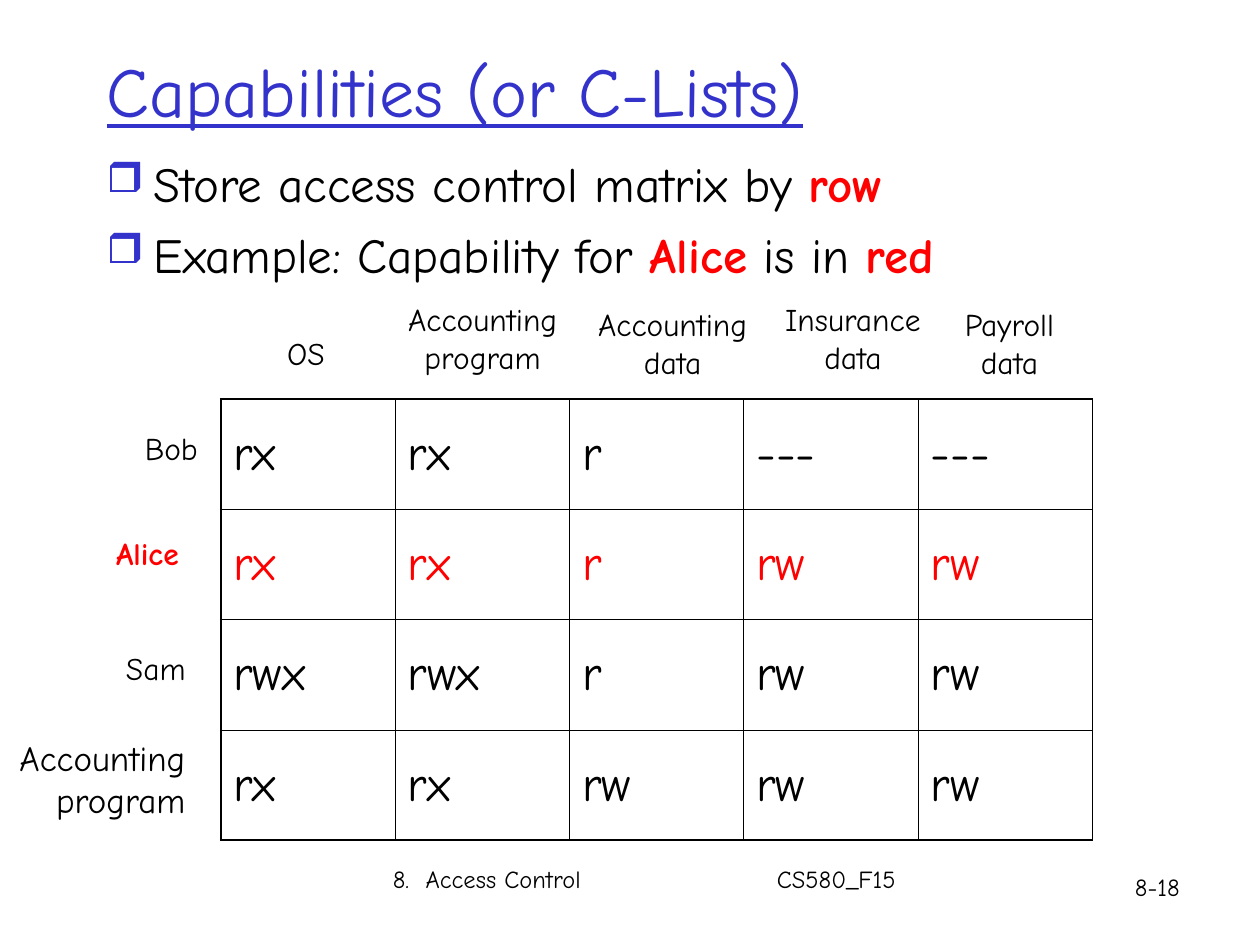
from lxml import etree
from pptx import Presentation
from pptx.dml.color import RGBColor
from pptx.enum.text import MSO_ANCHOR, MSO_AUTO_SIZE, PP_ALIGN
from pptx.oxml.ns import qn
from pptx.util import Cm, Pt

LEFT, CENTER, RIGHT = PP_ALIGN.LEFT, PP_ALIGN.CENTER, PP_ALIGN.RIGHT
MIDDLE = MSO_ANCHOR.MIDDLE
GROW = MSO_AUTO_SIZE.SHAPE_TO_FIT_TEXT


class Theme:
    face = "Comic Neue"
    ink = RGBColor(0, 0, 0)
    red = RGBColor(255, 0, 0)
    blue = RGBColor(0x33, 0x33, 0xCC)
    title, body, name, label, foot = 40, 28, 20, 18, 14
    thick, thin = Pt(1.08), Pt(0.45)


def style(font, size, color=Theme.ink, bold=False):
    font.name, font.size, font.bold = Theme.face, Pt(size), bold
    font.color.rgb = color


def add_text(box, lines, size, color=Theme.ink, bold=False, align=LEFT, wrap=False):
    frame = slide.shapes.add_textbox(*map(Cm, box)).text_frame
    frame.word_wrap = wrap
    if not wrap:
        frame.auto_size = GROW
    frame.text = lines
    for para in frame.paragraphs:
        para.alignment = align
        style(para.font, size, color, bold)
    return frame


deck = Presentation()
deck.slide_width, deck.slide_height = Cm(25.4), Cm(19.05)
slide = deck.slides.add_slide(deck.slide_layouts[6])

title = add_text((1.9, 0.43, 21.6, 2.74), "Capabilities (or C-Lists)",
                 Theme.title, Theme.blue, wrap=True)
title.vertical_anchor = MIDDLE
title.paragraphs[0].font.underline = True

points = [
    [("Store access control matrix by ", False), ("row", True)],
    [("Example: Capability for ", False), ("Alice", True),
     (" is in ", False), ("red", True)],
]
frame = slide.shapes.add_textbox(Cm(1.9), Cm(2.97), Cm(21.6), Cm(3.18)).text_frame
frame.word_wrap = True
for i, parts in enumerate(points):
    para = frame.add_paragraph() if i else frame.paragraphs[0]
    para.space_before = Pt(7 if i else 0)
    props = para._p.get_or_add_pPr()
    props.set("marL", str(Cm(0.95)))
    props.set("indent", str(-Cm(0.95)))
    tint = etree.SubElement(props, qn("a:buClr"))
    etree.SubElement(tint, qn("a:srgbClr"), val=str(Theme.blue))
    etree.SubElement(props, qn("a:buSzPct"), val="85000")
    etree.SubElement(props, qn("a:buChar"), char="❒")
    for text, key in parts:
        run = para.add_run()
        run.text = text
        style(run.font, Theme.body, Theme.red if key else Theme.ink, key)

rights = [
    ["rx", "rx", "r", "---", "---"],
    ["rx", "rx", "r", "rw", "rw"],
    ["rwx", "rwx", "r", "rw", "rw"],
    ["rx", "rx", "rw", "rw", "rw"],
]
rows, cols = len(rights), len(rights[0])
table = slide.shapes.add_table(rows, cols, Cm(4.45), Cm(8.05),
                               Cm(17.58), Cm(8.89)).table
table.first_row = table.horz_banding = False
for r, line in enumerate(rights):
    for c, text in enumerate(line):
        cell = table.cell(r, c)
        cell.text = text
        cell.vertical_anchor = MIDDLE
        cell.fill.background()
        style(cell.text_frame.paragraphs[0].font, Theme.body,
              Theme.red if r == 1 else Theme.ink)
        props = cell._tc.get_or_add_tcPr()
        edges = {"L": c == 0, "R": c == cols - 1, "T": r == 0, "B": r == rows - 1}
        for i, (side, outer) in enumerate(edges.items()):
            rule = etree.Element(qn("a:ln" + side),
                                 w=str(Theme.thick if outer else Theme.thin))
            fill = etree.SubElement(rule, qn("a:solidFill"))
            etree.SubElement(fill, qn("a:srgbClr"), val=str(Theme.ink))
            props.insert(i, rule)

heads = [
    ((5.54, 6.6, 1.35, 1.02), "OS", LEFT),
    ((7.88, 5.92, 3.7, 1.78), "Accounting\nprogram", CENTER),
    ((11.71, 6.02, 3.7, 1.78), "Accounting\ndata", CENTER),
    ((15.47, 5.92, 3.45, 1.78), "Insurance\ndata", CENTER),
    ((19.08, 6.02, 2.54, 1.78), "Payroll\ndata", CENTER),
]
for box, text, align in heads:
    add_text(box, text, Theme.label, align=align)

add_text((2.67, 8.53, 1.7, 1.02), "Bob", Theme.label)
add_text((2.09, 10.64, 1.9, 1.02), "Alice", Theme.label, Theme.red, True)
add_text((2.29, 12.95, 1.9, 1.02), "Sam", Theme.label)
add_text((0.03, 14.73, 3.96, 1.96), "Accounting\nprogram", Theme.name, align=RIGHT)

foot = add_text((7.67, 17.3, 15.21, 1.27), "", Theme.foot, wrap=True).paragraphs[0]
tabs = etree.SubElement(foot._p.get_or_add_pPr(), qn("a:tabLst"))
etree.SubElement(tabs, qn("a:tab"), pos=str(Cm(7.74)), algn="l")
foot.add_run().text = "8.  Access Control\tCS580_F15"
style(foot.font, Theme.foot)
add_text((22.63, 17.45, 2.44, 0.86), "8-18", Theme.foot, wrap=True)

deck.save("out.pptx")
